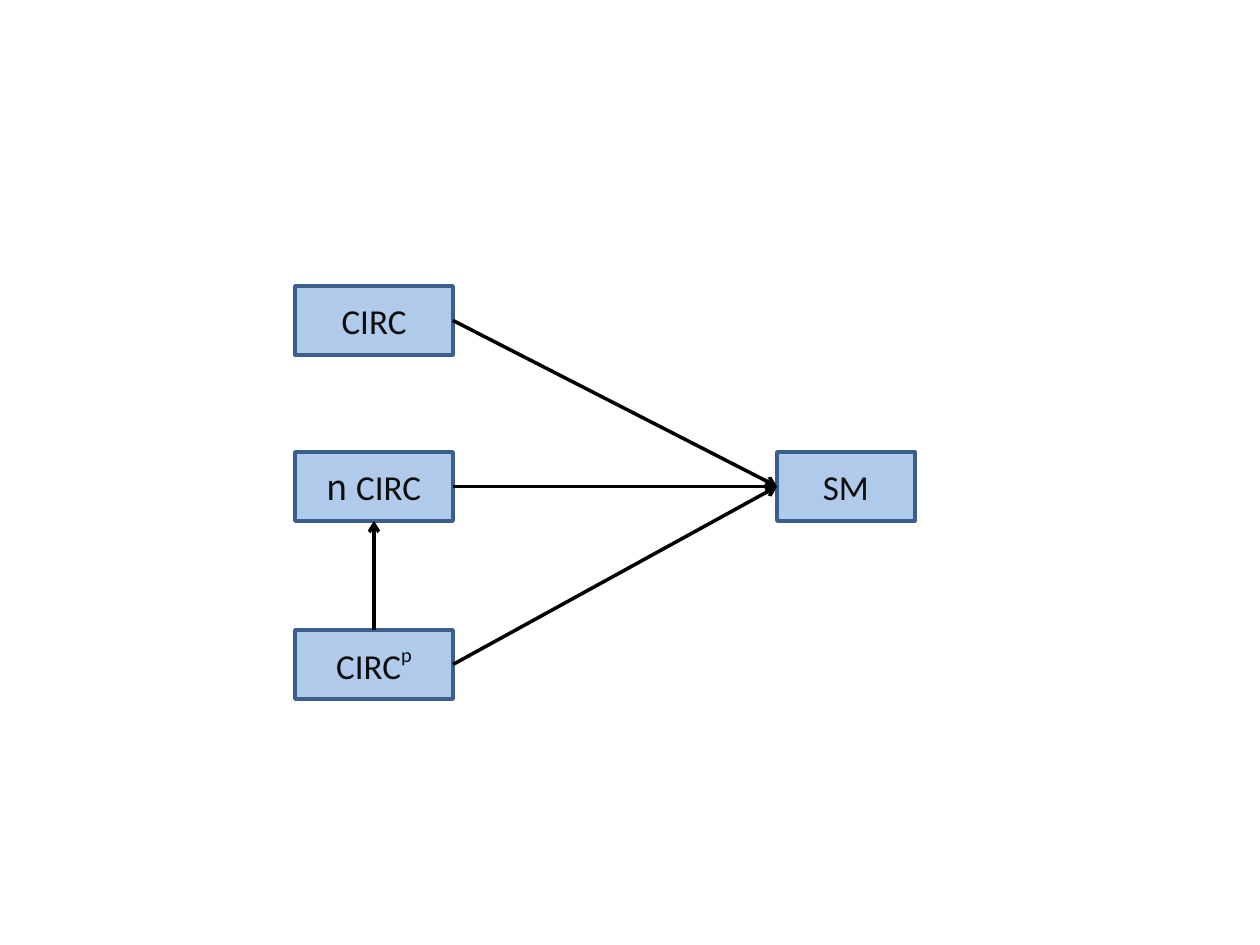
from lxml.etree import SubElement
from pptx import Presentation
from pptx.dml.color import RGBColor
from pptx.enum.shapes import MSO_CONNECTOR as Link, MSO_SHAPE as Shape
from pptx.enum.text import MSO_ANCHOR as Anchor, PP_ALIGN as Align
from pptx.oxml.ns import qn
from pptx.util import Pt

PX = 914400 // 126
FILL = RGBColor(0x8E, 0xB4, 0xE3)
EDGE = RGBColor(0x3A, 0x5F, 0x8C)
INK = RGBColor(0x0D, 0x0D, 0x0D)
BLACK = RGBColor(0, 0, 0)
LATIN, CJK = "Calibri", "Noto Sans CJK SC"
TOP, LEFT, BOTTOM, RIGHT = range(4)  # connection sites of a rectangle

HIGH = 69
# name: left, top, width, runs of (text, format)
BOXES = {
    "sm": (777, 452, 138, [("SM", {})]),
    "circ": (295, 286, 158, [("CIRC", {})]),
    "ncirc": (295, 452, 158, [("n ", {"font": CJK}), ("CIRC", {})]),
    "circp": (295, 630, 158, [("CIRC", {}), ("p", {"base": 50})]),
}
ARROWS = [
    ("circ", RIGHT, "sm", LEFT),
    ("ncirc", RIGHT, "sm", LEFT),
    ("circp", RIGHT, "sm", LEFT),
    ("circp", TOP, "ncirc", BOTTOM),
]


def write(para, text, font=LATIN, size=20, color=INK, base=0):
    """Add one run; base is its rise in percent."""
    run = para.add_run()
    run.text = text
    run.font.name = font
    run.font.size = Pt(size)
    run.font.color.rgb = color
    if base:
        run.font._element.set("baseline", str(base * 1000))


def add_box(slide, left, top, width, runs):
    box = slide.shapes.add_shape(
        Shape.RECTANGLE, *(n * PX for n in (left, top, width, HIGH)))
    box.shadow.inherit = False
    box.fill.solid()
    box.fill.fore_color.rgb = FILL
    tint = box._element.spPr.find(qn("a:solidFill"))[0]
    SubElement(tint, qn("a:alpha"), val="70000")
    box.line.color.rgb = EDGE
    box.line.width = Pt(2)
    frame = box.text_frame
    frame.word_wrap = True
    frame.vertical_anchor = Anchor.MIDDLE
    para = frame.paragraphs[0]
    para.alignment = Align.CENTER
    for text, form in runs:
        write(para, text, **form)
    return box


def add_arrow(slide, start, out, end, into):
    arrow = slide.shapes.add_connector(Link.STRAIGHT, 0, 0, 0, 0)
    arrow.begin_connect(start, out)
    arrow.end_connect(end, into)
    arrow.line.color.rgb = BLACK
    arrow.line.width = Pt(2)
    SubElement(arrow.line._get_or_add_ln(), qn("a:tailEnd"), type="arrow")
    SubElement(arrow._element.spPr, qn("a:effectLst"))


def main():
    deck = Presentation()
    deck.slide_width, deck.slide_height = 1260 * PX, 945 * PX
    slide = deck.slides.add_slide(deck.slide_layouts[6])
    boxes = {name: add_box(slide, *box) for name, box in BOXES.items()}
    for start, out, end, into in ARROWS:
        add_arrow(slide, boxes[start], out, boxes[end], into)
    deck.save("out.pptx")


if __name__ == "__main__":
    main()
